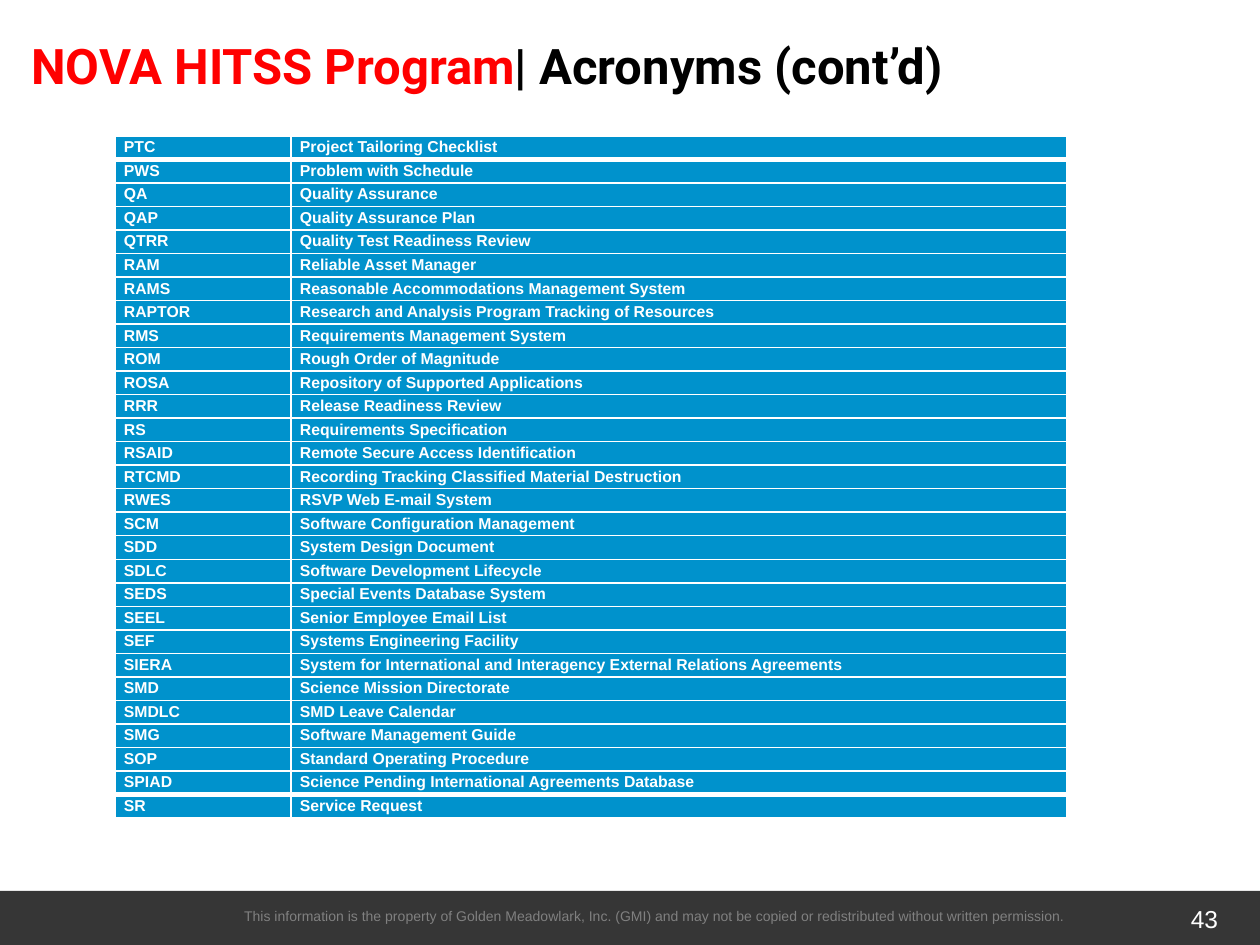
from lxml.etree import SubElement
from pptx import Presentation
from pptx.dml.color import RGBColor
from pptx.enum.shapes import MSO_SHAPE as Shape
from pptx.enum.text import MSO_ANCHOR as Anchor, PP_ALIGN as Align
from pptx.oxml.ns import qn
from pptx.util import Pt

PX = 914400 / 126
WHITE = RGBColor(0xFF, 0xFF, 0xFF)
BLACK = RGBColor(0, 0, 0)
RED = RGBColor(0xFF, 0, 0)
BLUE = RGBColor(0x00, 0x92, 0xCC)
DARK = RGBColor(0x36, 0x36, 0x36)
GRAY = RGBColor(0x80, 0x80, 0x80)

TERMS = [
    ("PTC", "Project Tailoring Checklist"),
    ("PWS", "Problem with Schedule"),
    ("QA", "Quality Assurance"),
    ("QAP", "Quality Assurance Plan"),
    ("QTRR", "Quality Test Readiness Review"),
    ("RAM", "Reliable Asset Manager"),
    ("RAMS", "Reasonable Accommodations Management System"),
    ("RAPTOR", "Research and Analysis Program Tracking of Resources"),
    ("RMS", "Requirements Management System"),
    ("ROM", "Rough Order of Magnitude"),
    ("ROSA", "Repository of Supported Applications"),
    ("RRR", "Release Readiness Review"),
    ("RS", "Requirements Specification"),
    ("RSAID", "Remote Secure Access Identification"),
    ("RTCMD", "Recording Tracking Classified Material Destruction"),
    ("RWES", "RSVP Web E-mail System"),
    ("SCM", "Software Configuration Management"),
    ("SDD", "System Design Document"),
    ("SDLC", "Software Development Lifecycle"),
    ("SEDS", "Special Events Database System"),
    ("SEEL", "Senior Employee Email List"),
    ("SEF", "Systems Engineering Facility"),
    ("SIERA", "System for International and Interagency External Relations Agreements"),
    ("SMD", "Science Mission Directorate"),
    ("SMDLC", "SMD Leave Calendar"),
    ("SMG", "Software Management Guide"),
    ("SOP", "Standard Operating Procedure"),
    ("SPIAD", "Science Pending International Agreements Database"),
    ("SR", "Service Request"),
]


def emu(*sizes):
    return [round(n * PX) for n in sizes]


def style(run, size, color, name="Arial", bold=False):
    font = run.font
    font.name, font.size, font.bold = name, Pt(size), bold
    font.color.rgb = color


deck = Presentation()
deck.slide_width, deck.slide_height = emu(1260, 945)
slide = deck.slides.add_slide(deck.slide_layouts[6])
shapes = slide.shapes

# Footer
bar = shapes.add_shape(Shape.RECTANGLE, *emu(0, 891, 1260, 54))
bar.shadow.inherit = False
bar.fill.solid()
bar.fill.fore_color.rgb = DARK
bar.line.fill.background()

NOTICE = ("This information is the property of Golden Meadowlark, Inc. (GMI) "
          "and may not be copied or redistributed without written permission.")
for text, box, size, color in [
    (NOTICE, (185, 901, 940, 30), 8, GRAY),
    ("43", (1168, 892, 73, 53), 14, WHITE),
]:
    frame = shapes.add_textbox(*emu(*box)).text_frame
    frame.word_wrap = True
    frame.vertical_anchor = Anchor.MIDDLE
    frame.text = text
    line = frame.paragraphs[0]
    line.alignment = Align.CENTER
    style(line.runs[0], size, color)

# Title
frame = shapes.add_textbox(*emu(19, 29, 1227, 113)).text_frame
frame.word_wrap = True
for text, color in [("NOVA HITSS Program", RED), ("| Acronyms (cont’d)", BLACK)]:
    run = frame.paragraphs[0].add_run()
    run.text = text
    style(run, 28, color, "Roboto", True)

# Acronym table, with a thick rule below the first row and above the last
count = len(TERMS)
table = shapes.add_table(count, 2, *emu(115, 136, 952, 683)).table
for col, width in zip(table.columns, emu(176, 776)):
    col.width = width

for i, term in enumerate(TERMS):
    table.rows[i].height = round(683 * PX / count)
    top = 3 if i in (1, count - 1) else 1
    base = 3 if i in (0, count - 2) else 1
    for j, text in enumerate(term):
        cell = table.cell(i, j)
        cell.margin_left, cell.margin_right = emu(9, 9)
        cell.margin_top = cell.margin_bottom = 0
        props = cell._tc.get_or_add_tcPr()
        for side, width in [("L", 1), ("R", 1), ("T", top), ("B", base)]:
            edge = SubElement(props, qn(f"a:ln{side}"), w=str(Pt(width)))
            paint = SubElement(edge, qn("a:solidFill"))
            SubElement(paint, qn("a:srgbClr"), val=str(WHITE))
        cell.fill.solid()
        cell.fill.fore_color.rgb = BLUE
        cell.text = text
        line = cell.text_frame.paragraphs[0]
        line.line_spacing = 1.15
        style(line.runs[0], 9, WHITE, bold=True)

deck.save("out.pptx")
